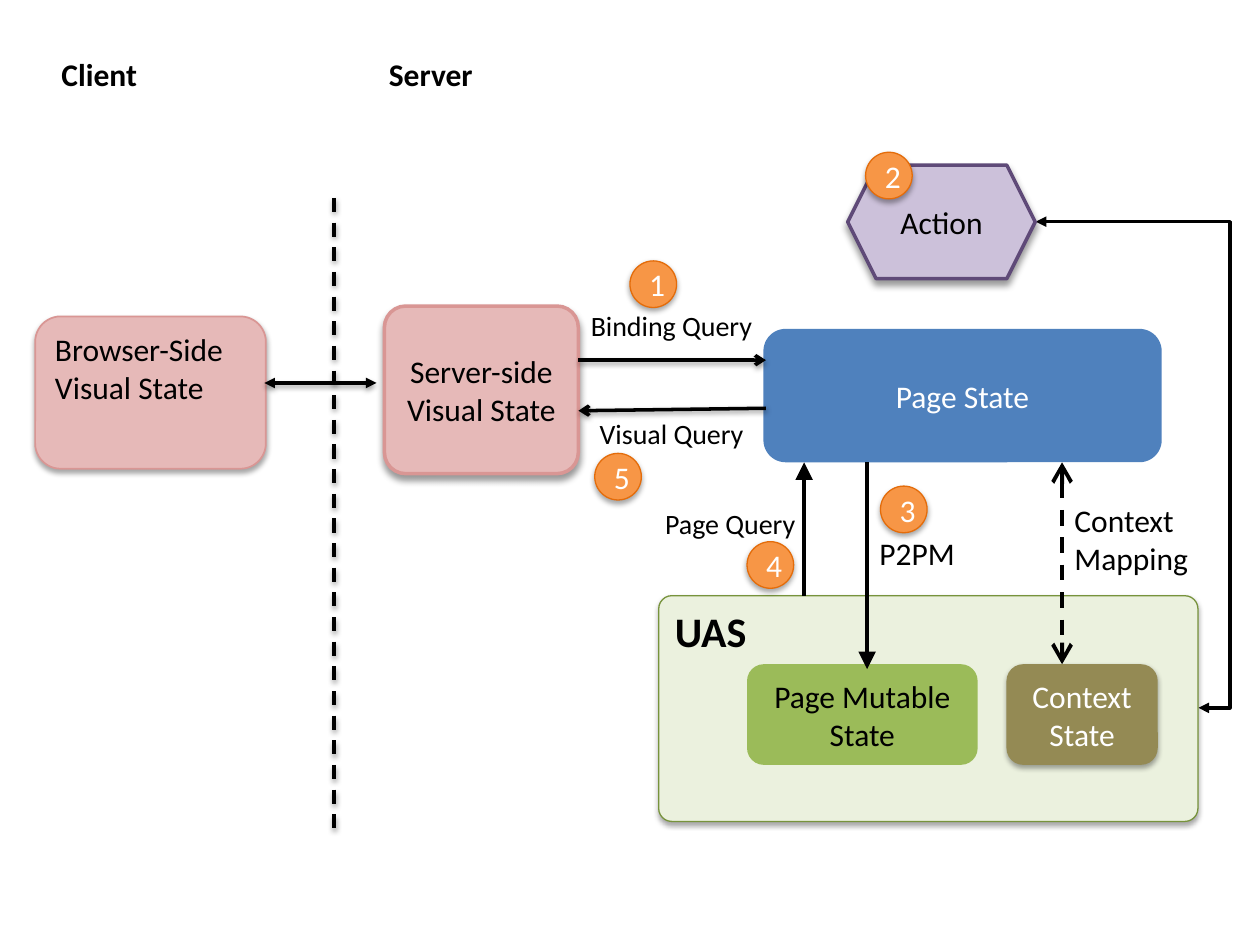
from dataclasses import dataclass
from typing import Optional

from lxml.etree import SubElement
from pptx import Presentation
from pptx.dml.color import RGBColor
from pptx.enum.dml import MSO_LINE_DASH_STYLE as Dash
from pptx.enum.shapes import MSO_CONNECTOR as Connector, MSO_SHAPE as Preset
from pptx.enum.text import MSO_ANCHOR as Anchor, MSO_AUTO_SIZE as AutoSize, PP_ALIGN as Align
from pptx.oxml.ns import qn
from pptx.util import Cm, Pt

FONT = "Calibri"
COLORS = {
    "black": "000000", "white": "FFFFFF",
    "pink": "E6B9B8", "rose": "D99694",
    "lilac": "CCC1DA", "purple": "5F4A78",
    "pale_green": "EBF1DE", "dark_green": "77933C", "green": "9BBB59",
    "olive": "948A54", "blue": "4F81BD",
    "orange": "F79646", "dark_orange": "E46C0A",
}
BADGE_SIZE = 0.94


@dataclass(frozen=True)
class Shadow:
    opacity: int
    blur: float
    distance: float


SOFT = Shadow(35, 3.1, 1.8)
STRONG = Shadow(40, 4, 3)
LINE_SHADOW = Shadow(38, 3.1, 1.6)


@dataclass(frozen=True)
class Node:
    text: str
    box: tuple  # left, top, width, height in cm
    fill: str
    line: Optional[str] = None
    line_width: float = 1
    shadow: Optional[Shadow] = None
    preset: Preset = Preset.ROUNDED_RECTANGLE
    corner: Optional[float] = None
    color: str = "black"
    size: int = 18
    bold: bool = False
    centered: bool = True
    inset: Optional[float] = None


@dataclass(frozen=True)
class Label:
    lines: tuple
    box: tuple
    size: int = 18
    bold: bool = False
    wrap: bool = False


@dataclass(frozen=True)
class Link:
    start: tuple
    end: tuple
    head: Optional[str] = None
    tail: Optional[str] = None
    arrow_size: str = "med"
    width: float = 2
    dashed: bool = False
    shadow: Optional[Shadow] = None
    bend: Optional[float] = None


def rgb(name: str) -> RGBColor:
    return RGBColor.from_string(COLORS[name])


def add_shadow(effects, shadow: Optional[Shadow]) -> None:
    if shadow is None:
        return
    outer = SubElement(effects, qn("a:outerShdw"), blurRad=str(Pt(shadow.blur)),
                       dist=str(Pt(shadow.distance)), dir="5400000", rotWithShape="0")
    color = SubElement(outer, qn("a:srgbClr"), val=COLORS["black"])
    SubElement(color, qn("a:alpha"), val=str(shadow.opacity * 1000))


def add_run(paragraph, text: str, size: int, color: str, bold: bool) -> None:
    run = paragraph.add_run()
    run.text = text
    run.font.name = FONT
    run.font.size = Pt(size)
    run.font.bold = bold
    run.font.color.rgb = rgb(color)


def draw_node(slide, node: Node) -> None:
    shape = slide.shapes.add_shape(node.preset, *map(Cm, node.box))
    if node.corner is not None:
        shape.adjustments[0] = node.corner
    shape.fill.solid()
    shape.fill.fore_color.rgb = rgb(node.fill)
    if node.line:
        shape.line.color.rgb = rgb(node.line)
        shape.line.width = Pt(node.line_width)
    else:
        shape.line.fill.background()
    shape.shadow.inherit = False
    add_shadow(shape._element.spPr.find(qn("a:effectLst")), node.shadow)
    frame = shape.text_frame
    frame.word_wrap = True
    frame.vertical_anchor = Anchor.MIDDLE if node.centered else Anchor.TOP
    if node.inset is not None:
        frame.margin_left = frame.margin_right = Cm(node.inset)
        frame.margin_top = frame.margin_bottom = Cm(node.inset)
    paragraph = frame.paragraphs[0]
    paragraph.alignment = Align.CENTER if node.centered else Align.LEFT
    add_run(paragraph, node.text, node.size, node.color, node.bold)


def draw_label(slide, label: Label) -> None:
    frame = slide.shapes.add_textbox(*map(Cm, label.box)).text_frame
    frame.word_wrap = label.wrap
    frame.auto_size = AutoSize.SHAPE_TO_FIT_TEXT
    for index, line in enumerate(label.lines):
        paragraph = frame.add_paragraph() if index else frame.paragraphs[0]
        add_run(paragraph, line, label.size, "black", label.bold)


def draw_link(slide, link: Link) -> None:
    kind = Connector.STRAIGHT if link.bend is None else Connector.ELBOW
    connector = slide.shapes.add_connector(kind, *map(Cm, link.start + link.end))
    connector.line.color.rgb = rgb("black")
    connector.line.width = Pt(link.width)
    if link.dashed:
        connector.line.dash_style = Dash.DASH
    properties = connector._element.spPr
    if link.bend is not None:
        guides = properties.find(qn("a:prstGeom")).find(qn("a:avLst"))
        SubElement(guides, qn("a:gd"), name="adj1", fmla=f"val {round(link.bend * 100000)}")
    outline = properties.find(qn("a:ln"))
    for tag, arrow in (("a:headEnd", link.head), ("a:tailEnd", link.tail)):
        if arrow:
            SubElement(outline, qn(tag), type=arrow, w=link.arrow_size, len=link.arrow_size)
    add_shadow(SubElement(properties, qn("a:effectLst")), link.shadow)


def badge(number: int, left: float, top: float) -> Node:
    return Node(str(number), (left, top, BADGE_SIZE, BADGE_SIZE), "orange", "dark_orange",
                0.75, SOFT, Preset.OVAL, color="white")


# Everything on the slide, from back to front
PARTS = [
    # Visual states, action and the loop back from the UAS
    Node("Server-side Visual State", (7.75, 6.17, 3.91, 3.38), "pink", "rose", 2, STRONG,
         corner=0.127, inset=0),
    Link((20.88, 4.47), (24.16, 14.27), "triangle", "triangle", bend=1.193),
    Node("Action", (17.09, 3.33, 3.78, 2.29), "lilac", "purple", 2, STRONG, Preset.HEXAGON),
    Node("Browser-Side Visual State", (0.71, 6.38, 4.65, 3.07), "pink", "rose", 1, SOFT,
         centered=False),
    # Client and server sides
    Label(("Client",), (0.99, 0.99, 2.54, 1.02), bold=True, wrap=True),
    Label(("Server",), (7.59, 0.99, 2.54, 1.02), bold=True, wrap=True),
    Link((6.73, 3.99), (6.73, 16.89), dashed=True, shadow=LINE_SHADOW),
    # UAS and page state
    Node("UAS", (13.28, 12.01, 10.87, 4.55), "pale_green", "dark_green", 0.75, SOFT,
         corner=0.058, size=24, bold=True, centered=False),
    Node("Page Mutable State", (15.06, 13.39, 4.65, 2.03), "green"),
    Node("Context State", (20.29, 13.39, 3.05, 2.03), "olive", shadow=SOFT, color="white"),
    Node("Page State", (15.39, 6.63, 8.03, 2.69), "blue", color="white"),
    # Queries between the states
    Link((11.66, 7.26), (15.44, 7.26), tail="arrow", shadow=LINE_SHADOW),
    Label(("Visual Query",), (11.84, 8.28, 3.45, 0.94), 16),
    Link((7.59, 7.72), (5.33, 7.72), "triangle", "triangle", shadow=LINE_SHADOW),
    Label(("Binding Query",), (11.66, 6.1, 3.81, 0.94), 16),
    Link((15.44, 8.23), (11.66, 8.28), tail="arrow", shadow=LINE_SHADOW),
    # Mappings between page state and UAS
    Link((21.41, 9.32), (21.41, 13.39), "arrow", "arrow", "lg", 2.25, dashed=True),
    Link((17.48, 9.32), (17.48, 13.49), tail="triangle", arrow_size="lg"),
    Label(("P2PM",), (17.48, 10.64, 2.06, 1.02)),
    Link((16.21, 12.01), (16.21, 9.32), tail="triangle", arrow_size="lg"),
    Label(("Page Query",), (13.16, 10.08, 3.18, 0.94), 16),
    # Step numbers
    badge(1, 12.7, 5.26),
    badge(4, 15.06, 10.92),
    badge(3, 17.75, 9.8),
    badge(2, 17.45, 3.07),
    badge(5, 11.99, 9.14),
    Label(("Context", "Mapping"), (21.41, 9.98, 2.82, 1.8)),
]
DRAW = {Node: draw_node, Label: draw_label, Link: draw_link}


def main() -> None:
    presentation = Presentation()
    presentation.slide_width = Cm(25.4)
    presentation.slide_height = Cm(19.05)
    slide = presentation.slides.add_slide(presentation.slide_layouts[6])
    for part in PARTS:
        DRAW[type(part)](slide, part)
    presentation.save("out.pptx")


if __name__ == "__main__":
    main()
